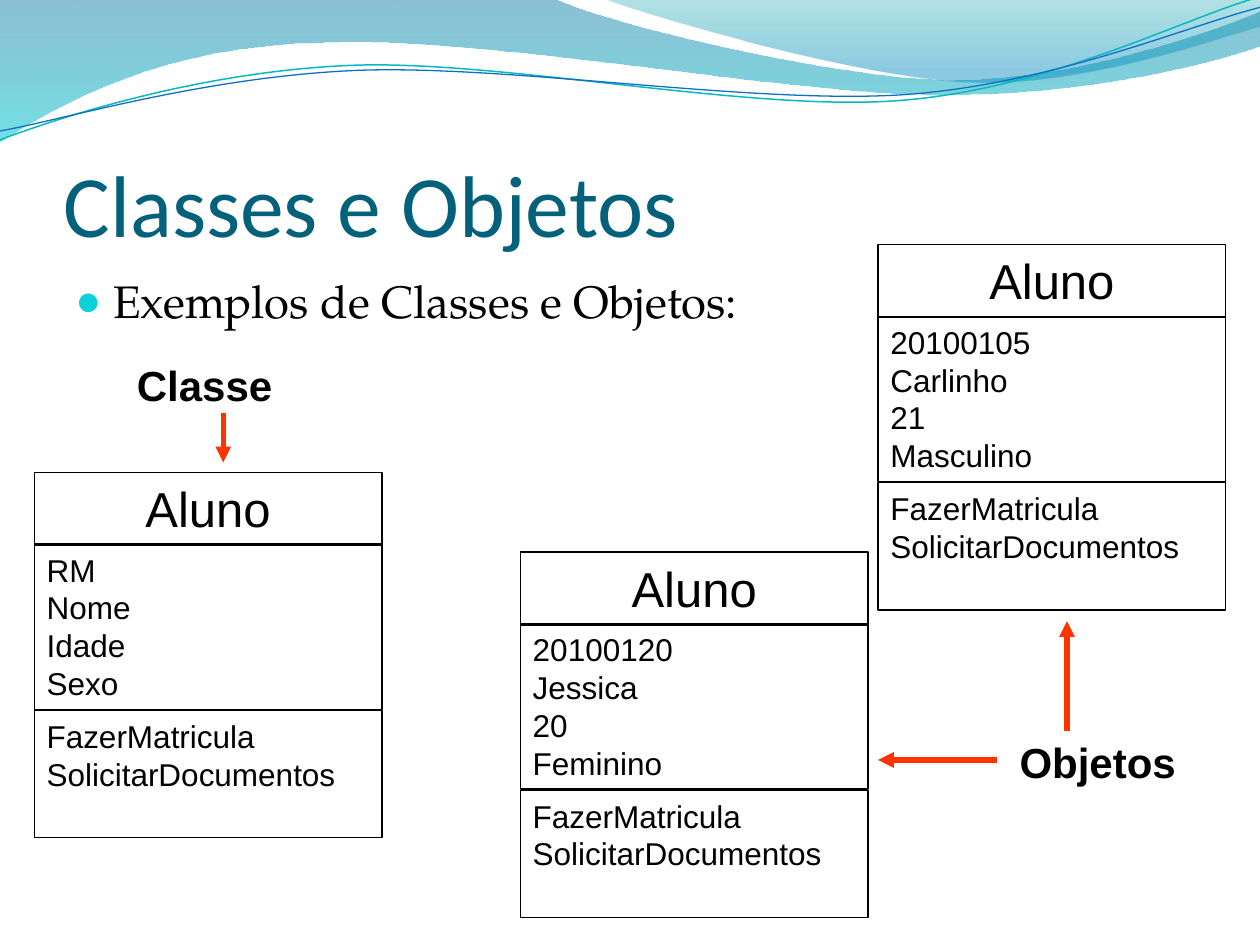
from dataclasses import dataclass

from lxml.etree import SubElement
from pptx import Presentation
from pptx.dml.color import RGBColor
from pptx.enum.shapes import MSO_CONNECTOR as Connector, MSO_SHAPE as Preset
from pptx.enum.text import MSO_ANCHOR as Anchor, PP_ALIGN as Align
from pptx.oxml.ns import qn
from pptx.util import Cm, Pt


@dataclass(frozen=True)
class Theme:
    title: str = "04617B"
    ink: str = "000000"
    bullet: str = "0BD0D9"
    arrow: str = "FF3300"
    teal_curve: str = "0AB8BF"
    blue_curve: str = "0F6FC6"
    wide_wave: tuple = ((0, "0074A1", 45), (1, "00C6CF", 55))
    short_wave: tuple = ((0, "00A1A9", 30), (0.8, "008BBF", 45))
    title_font: str = "Calibri"
    body_font: str = "TeX Gyre Pagella"
    diagram_font: str = "Arial"
    title_size: int = 50
    body_size: int = 26
    heading_size: int = 28
    label_size: int = 24
    member_size: int = 18


THEME = Theme()
CARD_WIDTH = 7.01
METHODS = "FazerMatricula\nSolicitarDocumentos"
CARDS = (
    (0.69, 9.52, "RM\nNome\nIdade\nSexo"),
    (17.7, 4.93, "20100105\nCarlinho\n21\nMasculino"),
    (10.49, 11.13, "20100120\nJessica\n20\nFeminino"),
)
LABELS = (("Classe", 2.5, 7.12, 3.25), ("Objetos", 20.3, 14.71, 3.66))
ARROWS = (
    ((4.5, 8.33), (4.5, 9.32)),
    ((21.51, 14.73), (21.51, 12.52)),
    ((20.09, 15.32), (17.7, 15.32)),
)
WIDE_WAVE = (
    (0, -0.03), (11.18, -0.03),
    (12.09, 0.43, 16.87, 1.6, 19.25, 1.6),
    (21.67, 1.6, 24.33, 0.66, 25.4, 0.23),
    (25.43, 0.91),
    (24.97, 1.12, 22.1, 1.93, 18.95, 1.91),
    (15.8, 1.91, 9.7, 0.71, 6.53, 0.86),
    (3.28, 0.89, 1.17, 2.11, -0.03, 2.87),
)
SHORT_WAVE = (
    (12.17, -0.03),
    (12.93, 0.28, 17.32, 1.57, 19.53, 1.65),
    (21.74, 1.75, 24.41, 0.81, 25.4, 0.53),
    (25.4, 0),
)
TEAL_CURVE = (
    (0, 2.82),
    (1.22, 2.36, 4.01, 1.45, 7.04, 1.32),
    (10.03, 1.19, 15.06, 2.26, 18.11, 2.03),
    (21.16, 1.8, 23.83, 0.38, 25.35, -0.05),
)
BLUE_CURVE = (
    (0, 2.64),
    (1.19, 2.44, 4.09, 1.55, 7.19, 1.42),
    (10.24, 1.3, 15.16, 2.11, 18.21, 1.91),
    (21.23, 1.7, 23.9, 0.53, 25.4, 0.15),
)


def rgb(color):
    return RGBColor.from_string(color)


def write(frame, text, *, size, font=THEME.diagram_font, color=THEME.ink, bold=False,
          align=Align.LEFT, anchor=Anchor.TOP, margins=(0.25, 0.13, 0.25, 0.13), wrap=True):
    frame.text = text
    frame.word_wrap = wrap
    frame.vertical_anchor = anchor
    (frame.margin_left, frame.margin_top,
     frame.margin_right, frame.margin_bottom) = map(Cm, margins)
    for paragraph in frame.paragraphs:
        paragraph.alignment = align
        for run in paragraph.runs:
            run.font.size, run.font.name, run.font.bold = Pt(size), font, bold
            run.font.color.rgb = rgb(color)


def add_text(shapes, text, left, top, width, height, **style):
    frame = shapes.add_textbox(*map(Cm, (left, top, width, height))).text_frame
    write(frame, text, **style)
    return frame


def add_bullet(paragraph, color):
    properties = paragraph._p.get_or_add_pPr()
    properties.set("marL", str(Cm(0.76)))
    properties.set("indent", str(-Cm(0.76)))
    SubElement(SubElement(properties, qn("a:buClr")), qn("a:srgbClr"), val=color)
    SubElement(properties, qn("a:buSzPct"), val="95000")
    SubElement(properties, qn("a:buFont"), typeface=THEME.diagram_font)
    SubElement(properties, qn("a:buChar"), char="●")


def bend(outline, segments):
    legs = iter(list(outline._element.iter(qn("a:lnTo"))))
    for segment in segments:
        leg = next(legs)
        if len(segment) == 6:
            leg.tag = qn("a:cubicBezTo")
            for _ in range(2):
                extra = next(legs)
                leg.append(extra[0])
                extra.getparent().remove(extra)


def add_outline(shapes, segments, close):
    start, *rest = segments
    vertices = [(Cm(segment[i]), Cm(segment[i + 1]))
                for segment in rest for i in range(0, len(segment), 2)]
    builder = shapes.build_freeform(*map(Cm, start))
    builder.add_line_segments(vertices, close=close)
    outline = builder.convert_to_shape()
    bend(outline, rest)
    outline.shadow.inherit = False
    return outline


def add_wave(shapes, segments, stops):
    wave = add_outline(shapes, segments, close=True)
    wave.line.fill.background()
    wave.fill.gradient()
    wave.fill.gradient_angle = 270
    for stop, (position, color, _) in zip(wave.fill.gradient_stops, stops):
        stop.position = position
        stop.color.rgb = rgb(color)
    for tint, (_, _, opacity) in zip(wave._element.spPr.iter(qn("a:srgbClr")), stops):
        SubElement(tint, qn("a:alpha"), val=str(opacity * 1000))


def add_curve(shapes, segments, color, width):
    curve = add_outline(shapes, segments, close=False)
    curve.fill.background()
    curve.line.color.rgb = rgb(color)
    curve.line.width = Pt(width)


def add_card(shapes, left, top, attributes):
    card = shapes.add_group_shape().shapes
    sections = (
        ("Aluno", 0, 1.47, THEME.heading_size, Align.CENTER),
        (attributes, 1.45, 3.33, THEME.member_size, Align.LEFT),
        (METHODS, 4.8, 2.57, THEME.member_size, Align.LEFT),
    )
    for text, offset, height, size, align in sections:
        section = card.add_shape(
            Preset.RECTANGLE, *map(Cm, (left, top + offset, CARD_WIDTH, height)))
        section.shadow.inherit = False
        section.fill.background()
        section.line.color.rgb = rgb(THEME.ink)
        section.line.width = Pt(0.75)
        write(section.text_frame, text, size=size, align=align)


def add_arrow(shapes, start, end):
    arrow = shapes.add_connector(Connector.STRAIGHT, *map(Cm, (*start, *end)))
    arrow.line.color.rgb = rgb(THEME.arrow)
    arrow.line.width = Pt(3)
    properties = arrow._element.spPr
    SubElement(properties.find(qn("a:ln")), qn("a:tailEnd"), type="triangle")
    SubElement(properties, qn("a:effectLst"))


def main():
    deck = Presentation()
    deck.slide_width, deck.slide_height = Cm(25.4), Cm(19.05)
    shapes = deck.slides.add_slide(deck.slide_layouts[6]).shapes

    add_wave(shapes, WIDE_WAVE, THEME.wide_wave)
    add_wave(shapes, SHORT_WAVE, THEME.short_wave)
    curves = shapes.add_group_shape().shapes
    add_curve(curves, TEAL_CURVE, THEME.teal_curve, 0.85)
    add_curve(curves, BLUE_CURVE, THEME.blue_curve, 0.75)

    add_text(shapes, "Classes e Objetos", 1.28, 1.96, 22.86, 3.18, size=THEME.title_size,
             font=THEME.title_font, color=THEME.title, anchor=Anchor.BOTTOM,
             margins=(0, 0.13, 0, 0))
    body = add_text(shapes, "Exemplos de Classes e Objetos:", 1.27, 5.38, 22.86, 12.19,
                    size=THEME.body_size, font=THEME.body_font)
    add_bullet(body.paragraphs[0], THEME.bullet)

    for card in CARDS:
        add_card(shapes, *card)
    for text, left, top, width in LABELS:
        add_text(shapes, text, left, top, width, 1.27, size=THEME.label_size,
                 bold=True, align=Align.CENTER, wrap=False)
    for start, end in ARROWS:
        add_arrow(shapes, start, end)

    deck.save("out.pptx")


if __name__ == "__main__":
    main()
